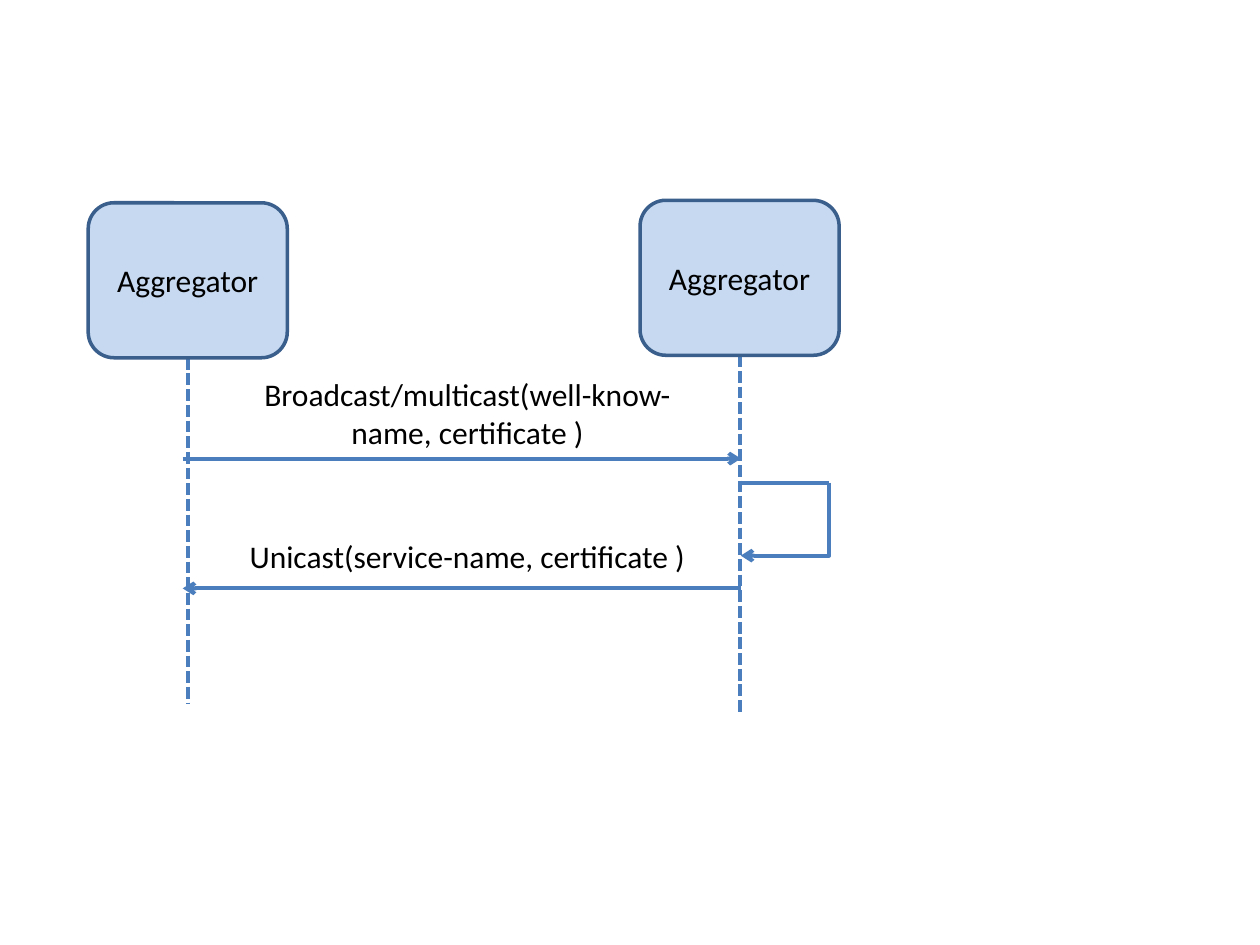
from pptx import Presentation
from pptx.dml.color import RGBColor
from pptx.enum.dml import MSO_LINE
from pptx.enum.shapes import MSO_CONNECTOR, MSO_SHAPE
from pptx.enum.text import MSO_ANCHOR, MSO_AUTO_SIZE, PP_ALIGN
from pptx.oxml.ns import qn
from pptx.util import Inches, Pt
from lxml.etree import SubElement

# Content
COLORS = {"fill": "C6D9F1", "edge": "3A5F8C", "line": "4B7EBC", "text": "000000"}
FONT, SIZE = "Calibri", 18
BOX_W, BOX_H = 1.58, 1.23
ACTORS = [  # name, left, top, lifeline end
    ("Aggregator", 0.7, 1.61, 5.58),
    ("Aggregator", 5.08, 1.59, 5.67),
]
LEFT, RIGHT, LOOP = 1.45, 5.88, 6.58
MESSAGES = [  # text, label box, start x, end x, y
    ("Broadcast/multicast(well-know-name, certificate )",
     (1.92, 2.93, 3.58, 0.71), LEFT, RIGHT, 3.64),
    ("Unicast(service-name, certificate )",
     (1.81, 4.21, 3.8, 0.4), RIGHT, LEFT, 4.67),
]
LOOP_TOP, LOOP_END = 3.83, 4.41


def color(key):
    return RGBColor.from_string(COLORS[key])


def write(shape, text, anchor):
    frame = shape.text_frame
    frame.word_wrap = True
    frame.vertical_anchor = anchor
    para = frame.paragraphs[0]
    para.alignment = PP_ALIGN.CENTER
    run = para.add_run()
    run.text = text
    run.font.name, run.font.size = FONT, Pt(SIZE)
    run.font.color.rgb = color("text")
    return frame


def link(x1, y1, x2, y2, arrow=False, dash=None, kind=MSO_CONNECTOR.STRAIGHT):
    line = slide.shapes.add_connector(kind, *map(Inches, (x1, y1, x2, y2)))
    line.line.color.rgb = color("line")
    line.line.width = Pt(2.25)
    if dash:
        line.line.dash_style = dash
    props = line._element.spPr
    if arrow:
        SubElement(props.find(qn("a:ln")), qn("a:tailEnd"), type="arrow")
    SubElement(props, qn("a:effectLst"))
    return line


deck = Presentation()
deck.slide_width, deck.slide_height = Inches(10), Inches(7.5)
slide = deck.slides.add_slide(deck.slide_layouts[6])

# Actors and lifelines
for name, left, top, end in ACTORS:
    mid = left + BOX_W / 2
    link(mid, top + BOX_H, mid, end, dash=MSO_LINE.SQUARE_DOT)
    box = slide.shapes.add_shape(MSO_SHAPE.ROUNDED_RECTANGLE,
                                 *map(Inches, (left, top, BOX_W, BOX_H)))
    box.shadow.inherit = False
    box.fill.solid()
    box.fill.fore_color.rgb = color("fill")
    box.line.color.rgb = color("edge")
    box.line.width = Pt(2)
    write(box, name, MSO_ANCHOR.MIDDLE)

# Messages
for text, area, start, end, y in MESSAGES:
    link(start, y, end, y, arrow=True)
    label = slide.shapes.add_textbox(*map(Inches, area))
    frame = write(label, text, MSO_ANCHOR.TOP)
    frame.auto_size = MSO_AUTO_SIZE.SHAPE_TO_FIT_TEXT

# Self call, with the bend at its outer edge
bend = link(LOOP, LOOP_TOP, RIGHT, LOOP_END, arrow=True, kind=MSO_CONNECTOR.ELBOW)
guides = bend._element.spPr.find(qn("a:prstGeom")).get_or_add_avLst()
SubElement(guides, qn("a:gd"), name="adj1", fmla="val 0")
link(RIGHT, LOOP_TOP, LOOP, LOOP_TOP)

deck.save("out.pptx")
